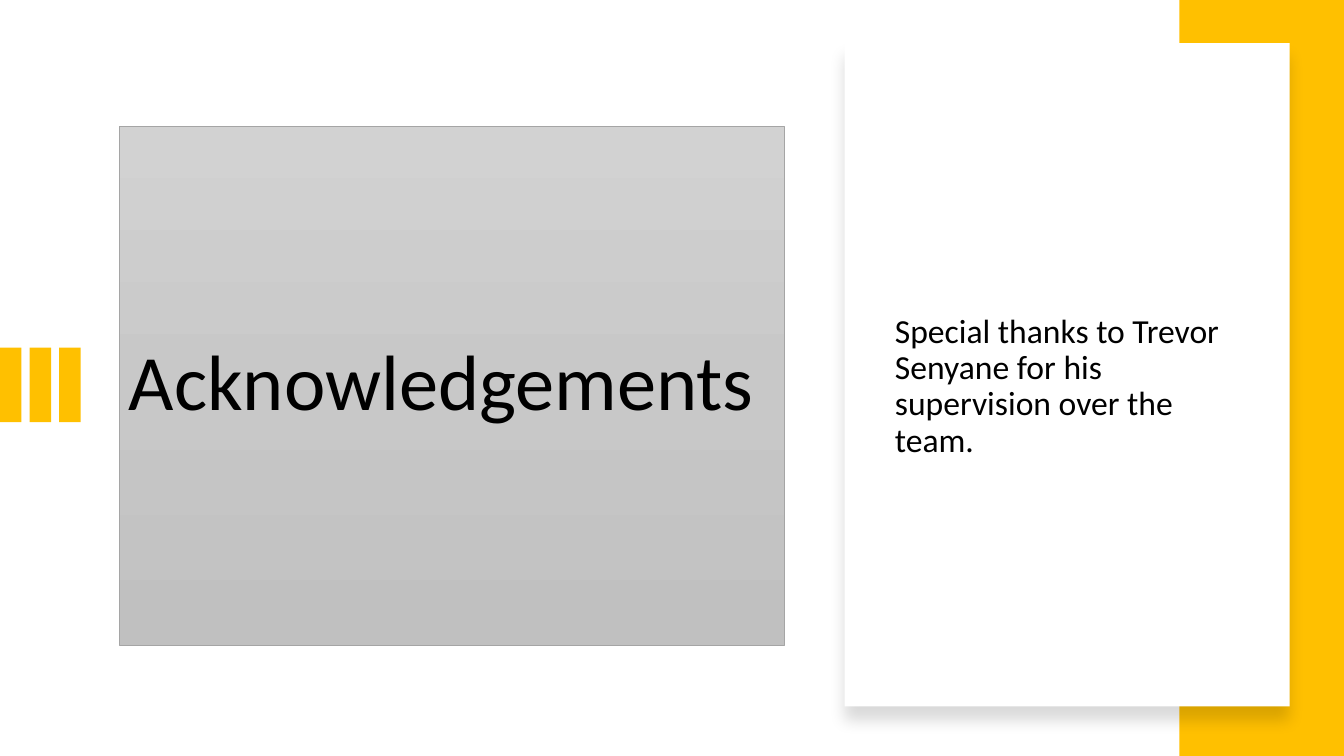
import copy

import pptx
import pptx.dml.color
import pptx.enum.shapes
import pptx.enum.text
import pptx.oxml
import pptx.oxml.ns
import pptx.util

RGBColor = pptx.dml.color.RGBColor
AMBER = RGBColor(0xFF, 0xC0, 0x00)
WHITE = RGBColor(0xFF, 0xFF, 0xFF)
BLACK = RGBColor(0x00, 0x00, 0x00)
GREY_LINE = RGBColor(0xA5, 0xA5, 0xA5)
GREY_SHADES = [
    (0, RGBColor(0xD2, 0xD2, 0xD2)),
    (0.5, RGBColor(0xC8, 0xC8, 0xC8)),
    (1, RGBColor(0xC0, 0xC0, 0xC0)),
]


def write_text(frame, text, size, font="Calibri", color=BLACK, line_spacing=0.9, space_before=0):
    """Fill a text frame with one left-aligned, vertically centred paragraph."""
    frame.word_wrap = True
    frame.vertical_anchor = pptx.enum.text.MSO_ANCHOR.MIDDLE
    para = frame.paragraphs[0]
    para.alignment = pptx.enum.text.PP_ALIGN.LEFT
    para.line_spacing = line_spacing
    para.space_before = pptx.util.Pt(space_before)
    span = para.add_run()
    span.text = text
    span.font.name = font
    span.font.size = pptx.util.Pt(size)
    span.font.color.rgb = color


class Painter:
    """Draws on one page; lengths are percent of its width and height."""

    def __init__(self, deck):
        """Add a blank page to the deck."""
        self.column = deck.slide_width / 100
        self.row = deck.slide_height / 100
        self.page = deck.slides.add_slide(deck.slide_layouts[6])

    def place(self, left, top, width, height):
        """Turn columns and rows into slide units."""
        return (
            round(left * self.column),
            round(top * self.row),
            round(width * self.column),
            round(height * self.row),
        )

    def block(self, *area, fill=AMBER):
        """Add a plain rectangle without outline."""
        box = self.page.shapes.add_shape(
            pptx.enum.shapes.MSO_SHAPE.RECTANGLE, *self.place(*area))
        box.shadow.inherit = False
        box.fill.solid()
        box.fill.fore_color.rgb = fill
        box.line.fill.background()
        return box

    def shaded_block(self, *area, shades, line):
        """Add a rectangle with a top-to-bottom gradient and a thin outline."""
        box = self.block(*area)
        box.fill.gradient()
        box.fill.gradient_angle = 270
        stop_list = box.fill._fill._gradFill.gsLst
        stop_list.insert(1, copy.deepcopy(stop_list[0]))
        for stop, (position, color) in zip(box.fill.gradient_stops, shades):
            stop.position = position
            stop.color.rgb = color
        box.line.color.rgb = line
        box.line.width = pptx.util.Pt(0.5)
        return box

    def card(self, *area):
        """Add a white rectangle with a soft shadow below it."""
        box = self.block(*area, fill=WHITE)
        effects = box._element.spPr.find(pptx.oxml.ns.qn("a:effectLst"))
        effects.append(pptx.oxml.parse_xml(
            f'<a:outerShdw {pptx.oxml.ns.nsdecls("a")} blurRad="{pptx.util.Pt(11)}" '
            f'dist="{pptx.util.Pt(10)}" dir="5400000" algn="t" rotWithShape="0">'
            f'<a:srgbClr val="{BLACK}"><a:alpha val="15000"/></a:srgbClr></a:outerShdw>'))
        return box

    def note(self, *area, text, **style):
        """Add a text box."""
        box = self.page.shapes.add_textbox(*self.place(*area))
        write_text(box.text_frame, text, **style)
        return box


def build():
    """Build the acknowledgements slide."""
    deck = pptx.Presentation()
    deck.slide_width = pptx.util.Inches(13.33)
    deck.slide_height = pptx.util.Inches(7.5)
    painter = Painter(deck)

    title = painter.shaded_block(8.85, 16.67, 49.5, 68.67, shades=GREY_SHADES, line=GREY_LINE)
    write_text(title.text_frame, "Acknowledgements", size=56)

    bar_width, bar_pitch = 1.6, 2.2
    for index in range(3):
        painter.block(index * bar_pitch, 46, bar_width, 9.85)

    band_left = 87.75
    painter.block(band_left, 0, 100 - band_left, 100)

    card_left, card_width, margin = 62.85, 33.1, 3
    painter.card(card_left, 5.7, card_width, 87.75)
    painter.note(
        card_left + margin, 24.65, card_width - 2 * margin, 53.05,
        text="Special thanks to Trevor Senyane for his supervision over the team.",
        size=24, space_before=10)

    deck.save("out.pptx")


build()
